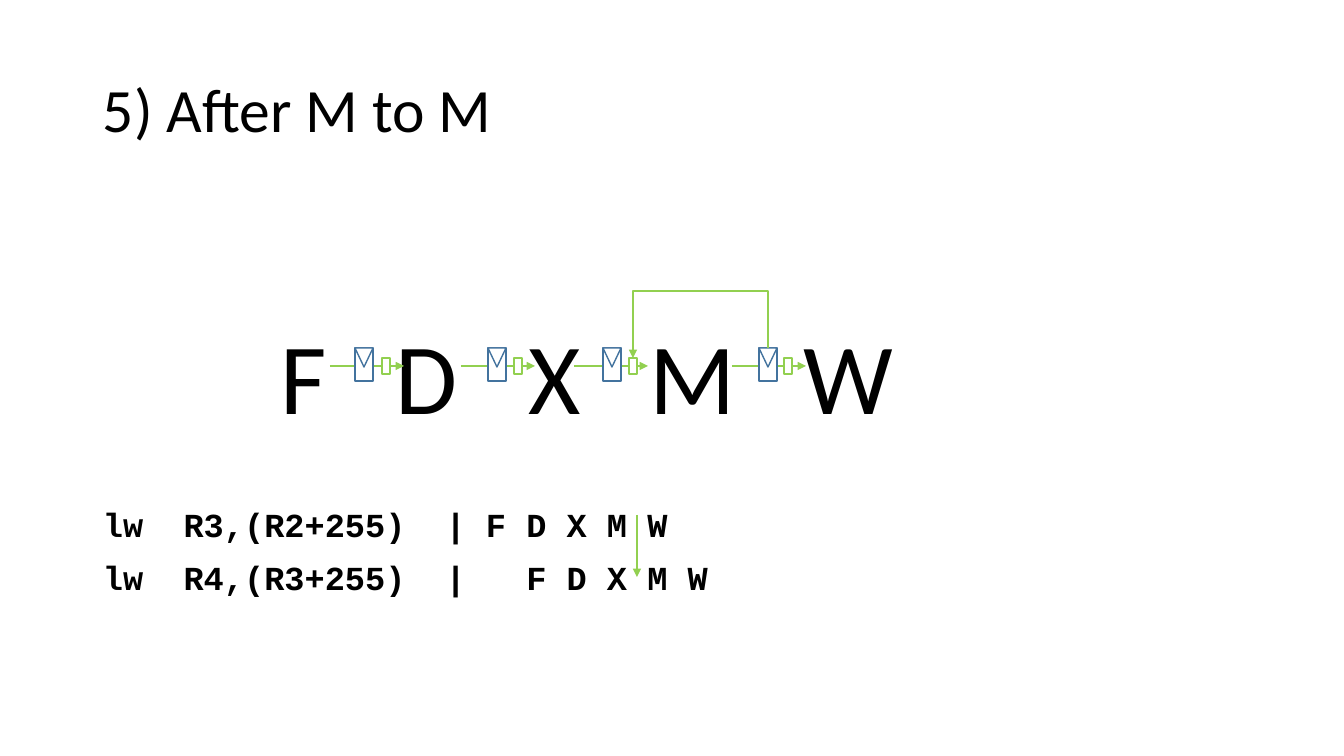
import lxml.etree
import pptx
import pptx.dml.color
import pptx.enum.shapes
import pptx.enum.text
import pptx.oxml.ns
import pptx.util

PX = 12192000 / 1344
COLORS = {"text": "000000", "paper": "FFFFFF", "latch": "43739E", "flow": "92D050"}
SHAPES = pptx.enum.shapes.MSO_SHAPE
CONNECTORS = pptx.enum.shapes.MSO_CONNECTOR
ALIGN = pptx.enum.text.PP_ALIGN
ANCHOR = pptx.enum.text.MSO_ANCHOR

STAGES = [("F", 304), ("D", 427), ("X", 555), ("M", 693), ("W", 848)]
# left edges of arrow, latch and multiplexer between neighbouring stages
LINKS = [(330, 355, 382), (461, 488, 514), (574, 603, 629), (732, 759, 784)]
INSTRUCTIONS = ["lw\tR3,(R2+255)\t|\tF D X M W", "lw\tR4,(R3+255)\t|\tF D X M W"]
LATCH_WIDTH, LATCH_HEIGHT = 18, 33
MUX_WIDTH, MUX_HEIGHT = 8, 16


def emu(px):
    return pptx.util.Emu(round(px * PX))


def rgb(name):
    return pptx.dml.color.RGBColor.from_string(COLORS[name])


def add_element(parent, tag, **attributes):
    name = pptx.oxml.ns.qn(tag)
    return lxml.etree.SubElement(parent, name, attributes)


def add_text(slide, text, box, size, font="Calibri", bold=False, align=ALIGN.LEFT,
             anchor=ANCHOR.TOP, spacing=1.0, before=0):
    """Add a text box without insets, one paragraph for each line of text."""
    shape = slide.shapes.add_textbox(*map(emu, box))
    frame = shape.text_frame
    frame.word_wrap = True
    frame.vertical_anchor = anchor
    frame.margin_left = frame.margin_right = frame.margin_top = frame.margin_bottom = 0
    for index, line in enumerate(text.split("\n")):
        paragraph = frame.paragraphs[0] if index == 0 else frame.add_paragraph()
        paragraph.alignment = align
        paragraph.line_spacing = spacing
        paragraph.space_before = pptx.util.Pt(before if index else 0)
        run = paragraph.add_run()
        run.text = line
        run.font.name = font
        run.font.size = pptx.util.Pt(size)
        run.font.bold = bold
        run.font.color.rgb = rgb("text")
    return shape


def add_outlined(slide, kind, box, color):
    shape = slide.shapes.add_shape(kind, *map(emu, box))
    shape.shadow.inherit = False
    shape.fill.solid()
    shape.fill.fore_color.rgb = rgb("paper")
    shape.line.color.rgb = rgb(color)
    shape.line.width = pptx.util.Pt(1)
    return shape


def add_arrow(slide, start, end, kind=CONNECTORS.STRAIGHT):
    arrow = slide.shapes.add_connector(kind, *map(emu, start + end))
    arrow.line.color.rgb = rgb("flow")
    arrow.line.width = pptx.util.Pt(1)
    add_element(arrow.line._get_or_add_ln(), "a:tailEnd", type="triangle")
    add_element(arrow._element.spPr, "a:effectLst")
    return arrow


def add_latch(slide, left, top):
    add_outlined(slide, SHAPES.RECTANGLE, (left, top, LATCH_WIDTH, LATCH_HEIGHT), "latch")
    clock = add_outlined(slide, SHAPES.ISOSCELES_TRIANGLE, (left, top, LATCH_WIDTH, 19), "latch")
    clock.rotation = 180


def add_forwarding(slide, start, end, rise):
    """Add an elbow arrow that goes up from start, left, and down to end."""
    (start_x, start_y), (end_x, end_y) = start, end
    center_x, center_y = (start_x + end_x) / 2, (start_y + end_y) / 2
    drop, run = end_y - start_y, start_x - end_x
    arrow = add_arrow(slide, (center_x + drop / 2, center_y + run / 2),
                      (center_x - drop / 2, center_y - run / 2), CONNECTORS.ELBOW)
    properties = arrow._element.spPr
    properties.find(pptx.oxml.ns.qn("a:xfrm")).set("rot", str(270 * 60000))
    geometry = properties.find(pptx.oxml.ns.qn("a:prstGeom"))
    adjustments = geometry.find(pptx.oxml.ns.qn("a:avLst"))
    add_element(adjustments, "a:gd", name="adj1", fmla=f"val {round(-rise / drop * 100000)}")


def add_pipeline(slide, top):
    for letter, center in STAGES:
        add_text(slide, letter, (center - 60, top, 120, 123), 72, align=ALIGN.CENTER)
    middle = top + 52
    latch_top, mux_top = middle - 18, middle - MUX_HEIGHT // 2
    for arrow_left, latch_left, mux_left in LINKS:
        add_arrow(slide, (arrow_left, middle), (arrow_left + 74, middle))
        add_latch(slide, latch_left, latch_top)
        add_outlined(slide, SHAPES.RECTANGLE, (mux_left, mux_top, MUX_WIDTH, MUX_HEIGHT), "flow")
    memory_mux, memory_latch = LINKS[2][2], LINKS[3][1]
    add_forwarding(slide, (memory_latch + LATCH_WIDTH // 2, latch_top),
                   (memory_mux + MUX_WIDTH // 2, mux_top), rise=57)


def add_program(slide, left, top):
    """Add the instructions; each one starts a cycle (two characters) later."""
    character = 20.16
    shape = add_text(slide, "\n".join(INSTRUCTIONS), (left, top, 1138, 92), 24,
                     font="Courier New", bold=True, before=9)
    for row, paragraph in enumerate(shape.text_frame.paragraphs):
        stops = add_element(paragraph._p.get_or_add_pPr(), "a:tabLst")
        for column in (4, 17, 19 + 2 * row):
            add_element(stops, "a:tab", pos=str(emu(column * character)), algn="l")
    add_arrow(slide, (left + 534, top + 11), (left + 534, top + 73))


def main():
    presentation = pptx.Presentation()
    presentation.slide_width, presentation.slide_height = emu(1344), emu(756)
    slide = presentation.slides.add_slide(presentation.slide_layouts[6])
    add_text(slide, "5) After M to M", (103, 40, 1138, 146), 44,
             anchor=ANCHOR.MIDDLE, spacing=0.9)
    add_pipeline(slide, 314)
    add_program(slide, 103, 504)
    presentation.save("out.pptx")


if __name__ == "__main__":
    main()
